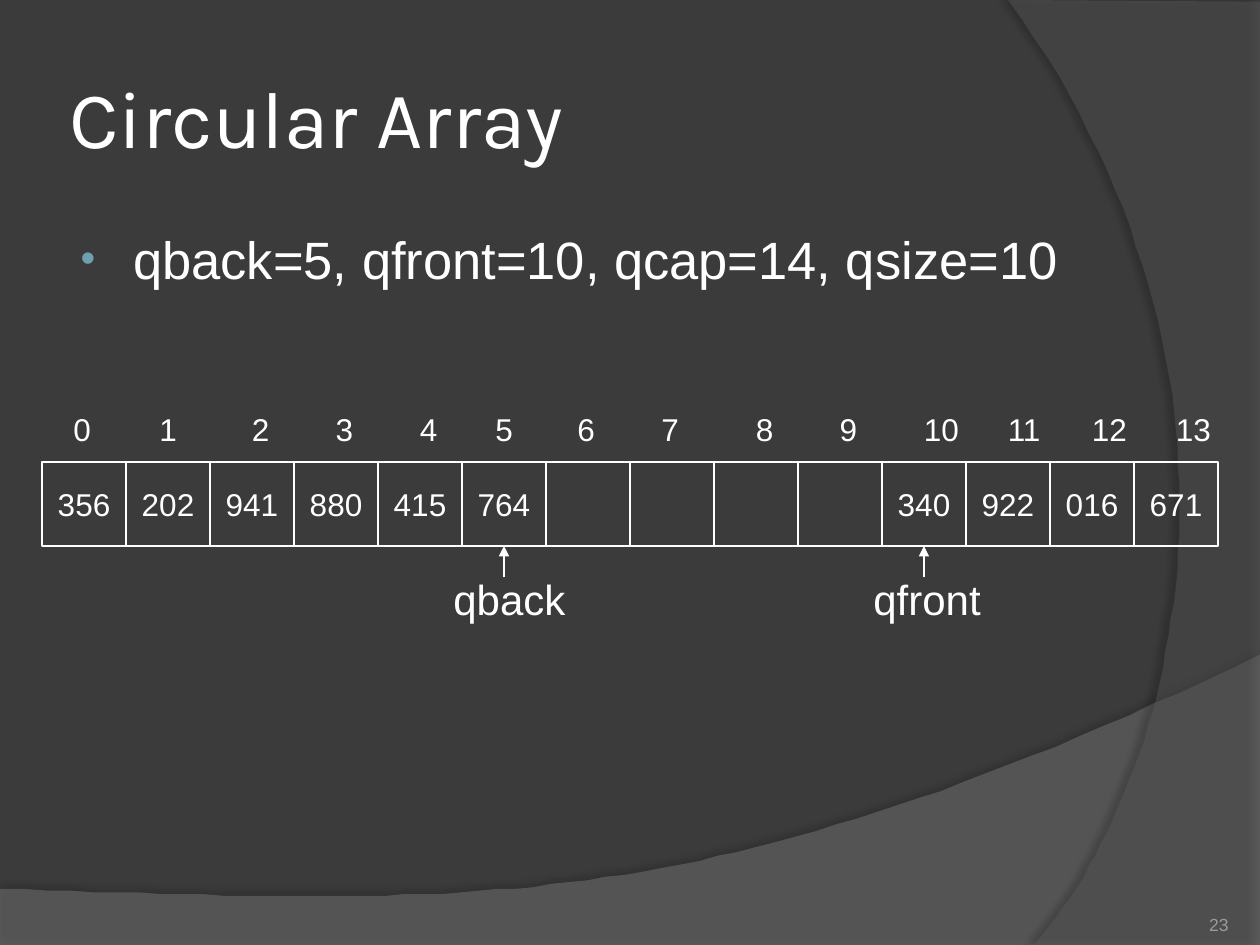
import pptx
import pptx.dml.color
import pptx.enum.shapes
import pptx.enum.text
import pptx.oxml
import pptx.oxml.ns
import pptx.util

Pt = pptx.util.Pt
ANCHOR = pptx.enum.text.MSO_ANCHOR
ALIGN = pptx.enum.text.PP_ALIGN
FIT = pptx.enum.text.MSO_AUTO_SIZE

COLORS = {
    "background": "3B3B3B",
    "wave": "7F7F7F",
    "arc": "5E5E5E",
    "shadow": "000000",
    "ink": "FFFFFF",
    "bullet": "6EA0B0",
    "number": "9D9B9A",
}
CELL = 48
ARRAY_LEFT, ARRAY_TOP = 24, 264
QUEUE = ["356", "202", "941", "880", "415", "764", "", "", "", "",
         "340", "922", "016", "671"]
INDEX_INDENT = 16.8
INDEX_INDENTS = {0: 10.8, 1: 12, 5: 12, 6: 10.8, 7: 10.8}
POINTERS = {"qback": (5, 252, 78.5), "qfront": (10, 492, 75.6)}


def rgb(name):
    """Return the named colour."""
    return pptx.dml.color.RGBColor.from_string(COLORS[name])


def apply(target, values):
    """Set each attribute of target from a dict of format values."""
    for name, value in values.items():
        setattr(target, name, value)


def drawing_xml(body):
    """Parse an XML fragment in the drawing namespace."""
    return pptx.oxml.parse_xml(
        body.replace(">", " " + pptx.oxml.ns.nsdecls("a") + ">", 1))


def write(frame, text, size, color="ink", font="Arial", align=ALIGN.LEFT,
          **layout):
    """Write one formatted paragraph into a text frame and return it."""
    apply(frame, {"word_wrap": True, **layout})
    paragraph = frame.paragraphs[0]
    paragraph.alignment = align
    run = paragraph.add_run()
    run.text = text
    apply(run.font, {"size": Pt(size), "name": font})
    run.font.color.rgb = rgb(color)
    return paragraph


def add_text(slide, box, text, size, **layout):
    """Add a text box at box (left, top, width, height)."""
    frame = slide.shapes.add_textbox(*map(Pt, box)).text_frame
    return write(frame, text, size, **layout)


def add_label(slide, box, text, size):
    """Add a label that does not wrap and fits its text."""
    add_text(slide, box, text, size, word_wrap=False,
             auto_size=FIT.SHAPE_TO_FIT_TEXT)


def add_bullet(paragraph):
    """Give a paragraph a hanging bullet."""
    paragraph.space_before = Pt(6)
    properties = paragraph._p.get_or_add_pPr()
    for name, value in {"marL": Pt(33), "indent": -Pt(30)}.items():
        properties.set(name, str(value))
    for body in (
            f'<a:buClr><a:srgbClr val="{COLORS["bullet"]}"/></a:buClr>',
            '<a:buSzPct val="80000"></a:buSzPct>',
            '<a:buFont typeface="Arial"></a:buFont>',
            '<a:buChar char="\u2022"></a:buChar>'):
        # an attribute list ends before the first closing bracket
        properties.append(drawing_xml(body))


def curve(start, control1, control2, end, steps=60):
    """Return points along a cubic curve, without its start."""
    points = []
    for step in range(1, steps + 1):
        t = step / steps
        weights = ((1 - t) ** 3, 3 * t * (1 - t) ** 2,
                   3 * t * t * (1 - t), t ** 3)
        points.append(tuple(
            sum(w * p[axis] for w, p in
                zip(weights, (start, control1, control2, end)))
            for axis in (0, 1)))
    return points


def add_backdrop(slide, points, color, opacity, shadow):
    """Add a translucent outline with a soft shadow (alpha, distance, angle)."""
    builder = slide.shapes.build_freeform(*points[0], scale=Pt(1))
    builder.add_line_segments(points[1:], close=True)
    backdrop = builder.convert_to_shape()
    backdrop.line.fill.background()
    backdrop.fill.solid()
    backdrop.fill.fore_color.rgb = rgb(color)
    tint = backdrop._element.spPr.find(".//" + pptx.oxml.ns.qn("a:solidFill"))
    tint[0].append(drawing_xml(
        f'<a:alpha val="{opacity * 1000}"></a:alpha>'))
    alpha, distance, angle = shadow
    backdrop._element.spPr.append(drawing_xml(
        f'<a:effectLst><a:outerShdw blurRad="{Pt(4)}" dist="{Pt(distance)}" '
        f'dir="{angle * 60000}" algn="ctr" rotWithShape="0">'
        f'<a:srgbClr val="{COLORS["shadow"]}"><a:alpha val="{alpha * 1000}"/>'
        '</a:srgbClr></a:outerShdw></a:effectLst>'))


def add_cell(slide, index, value):
    """Add one array cell and the index above it."""
    left = ARRAY_LEFT + CELL * index
    cell = slide.shapes.add_shape(
        pptx.enum.shapes.MSO_SHAPE.RECTANGLE,
        *map(Pt, (left, ARRAY_TOP, CELL, CELL)))
    cell.shadow.inherit = False
    cell.fill.background()
    cell.line.color.rgb = rgb("ink")
    cell.line.width = Pt(0.75)
    if value:
        write(cell.text_frame, value, 18, align=ALIGN.CENTER,
              word_wrap=False, vertical_anchor=ANCHOR.MIDDLE)
    indent = INDEX_INDENTS.get(index, INDEX_INDENT)
    width = 24.5 if index < 10 else 34.5
    add_label(slide, (left + indent, 231, width, 29), str(index), 18)


def add_pointer(slide, name, index, left, width):
    """Add a named arrow up to the middle of an array cell."""
    add_label(slide, (left, 324, width, 36), name, 24)
    x = ARRAY_LEFT + CELL * (index + 0.5)
    bottom = ARRAY_TOP + CELL
    arrow = slide.shapes.add_connector(
        pptx.enum.shapes.MSO_CONNECTOR.STRAIGHT,
        *map(Pt, (x, bottom + 18, x, bottom)))
    arrow.line.color.rgb = rgb("ink")
    arrow.line.width = Pt(0.75)
    arrow.line._get_or_add_ln().append(
        drawing_xml('<a:tailEnd type="triangle"></a:tailEnd>'))
    arrow._element.spPr.append(drawing_xml("<a:effectLst></a:effectLst>"))


def main():
    """Build and save the slide."""
    deck = pptx.Presentation()
    apply(deck, {"slide_width": Pt(720), "slide_height": Pt(540)})
    slide = deck.slides.add_slide(deck.slide_layouts[6])
    slide.background.fill.solid()
    slide.background.fill.fore_color.rgb = rgb("background")

    wave = [(0, 507.6), (0, 540.7), (720, 540.7), (720, 374.4)]
    wave += curve(wave[-1], (402.5, 524.9), (281.5, 517.7), wave[0])
    add_backdrop(slide, wave, "wave", 45, (35, 3.5, 270))
    arc = [(720, 1.4), (720, 540), (591.1, 540)]
    arc += curve(arc[-1], (673.2, 445.7), (733, 216), (576, 0))
    add_backdrop(slide, arc, "arc", 40, (45, 4, 180))

    margins = ("margin_left", "margin_top", "margin_right", "margin_bottom")
    add_text(slide, (36, 21.6, 588, 90), "Circular Array", 46, font="Karla",
             vertical_anchor=ANCHOR.MIDDLE, **dict.fromkeys(margins, Pt(3.6)))
    add_bullet(add_text(slide, (36, 126, 588, 356.4),
                        "qback=5, qfront=10, qcap=14, qsize=10", 30))
    for index, value in enumerate(QUEUE):
        add_cell(slide, index, value)
    for name, place in POINTERS.items():
        add_pointer(slide, name, *place)
    add_text(slide, (642, 505.5, 60, 28.8), "23", 10, color="number",
             align=ALIGN.RIGHT, vertical_anchor=ANCHOR.BOTTOM,
             **dict.fromkeys(margins, 0))
    deck.save("out.pptx")


main()
